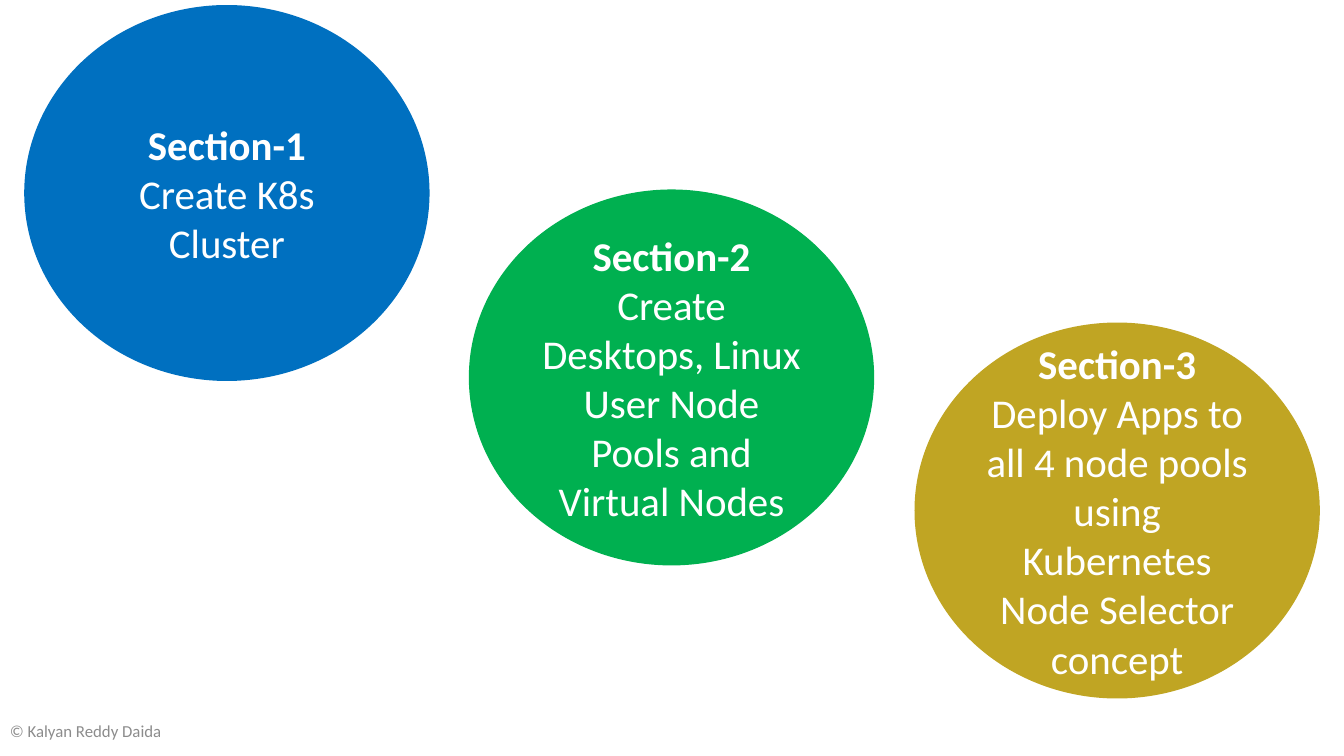
from dataclasses import dataclass

from pptx import Presentation
from pptx import util as u
from pptx.dml.color import RGBColor
from pptx.enum import shapes, text

SCALE = 9144
WIDE, HIGH = 402, 373
COLORS = {
    "blue": "0070C0",
    "green": "00B050",
    "gold": "C0A523",
    "white": "FFFFFF",
    "gray": "8C8C8C",
}


@dataclass
class Section:
    left: int
    top: int
    color: str
    task: str


SECTIONS = [
    Section(24, 5, "blue", "Create K8s Cluster"),
    Section(465, 188, "green",
            "Create Desktops, Linux User Node Pools and Virtual Nodes"),
    Section(907, 320, "gold",
            "Deploy Apps to all 4 node pools using Kubernetes Node Selector concept"),
]


def px(count: int) -> u.Emu:
    return u.Emu(count * SCALE)


def rgb(name: str) -> RGBColor:
    return RGBColor.from_string(COLORS[name])


def style(para, size: float, color: str, bold: bool = False) -> None:
    para.font.name = "Calibri"
    para.font.size = u.Pt(size)
    para.font.bold = bold
    para.font.color.rgb = rgb(color)


def draw_section(slide, number: int, item: Section) -> None:
    oval = slide.shapes.add_shape(
        shapes.MSO_SHAPE.OVAL, px(item.left), px(item.top), px(WIDE), px(HIGH))
    oval.shadow.inherit = False
    oval.fill.solid()
    oval.fill.fore_color.rgb = rgb(item.color)
    oval.line.fill.background()
    frame = oval.text_frame
    frame.word_wrap = True
    frame.vertical_anchor = text.MSO_ANCHOR.MIDDLE
    frame.text = f"Section-{number}\n{item.task}"
    for index, para in enumerate(frame.paragraphs):
        para.alignment = text.PP_ALIGN.CENTER
        style(para, 29.2, "white", bold=index == 0)


def draw_footer(slide) -> None:
    box = slide.shapes.add_textbox(px(0), px(705), px(450), px(40))
    frame = box.text_frame
    frame.word_wrap = True
    frame.vertical_anchor = text.MSO_ANCHOR.MIDDLE
    frame.text = "© Kalyan Reddy Daida"
    style(frame.paragraphs[0], 12, "gray")


def main() -> None:
    deck = Presentation()
    deck.slide_width, deck.slide_height = px(1333), px(750)
    slide = deck.slides.add_slide(deck.slide_layouts[6])
    draw_footer(slide)
    for number, item in enumerate(SECTIONS, 1):
        draw_section(slide, number, item)
    deck.save("out.pptx")


if __name__ == "__main__":
    main()
